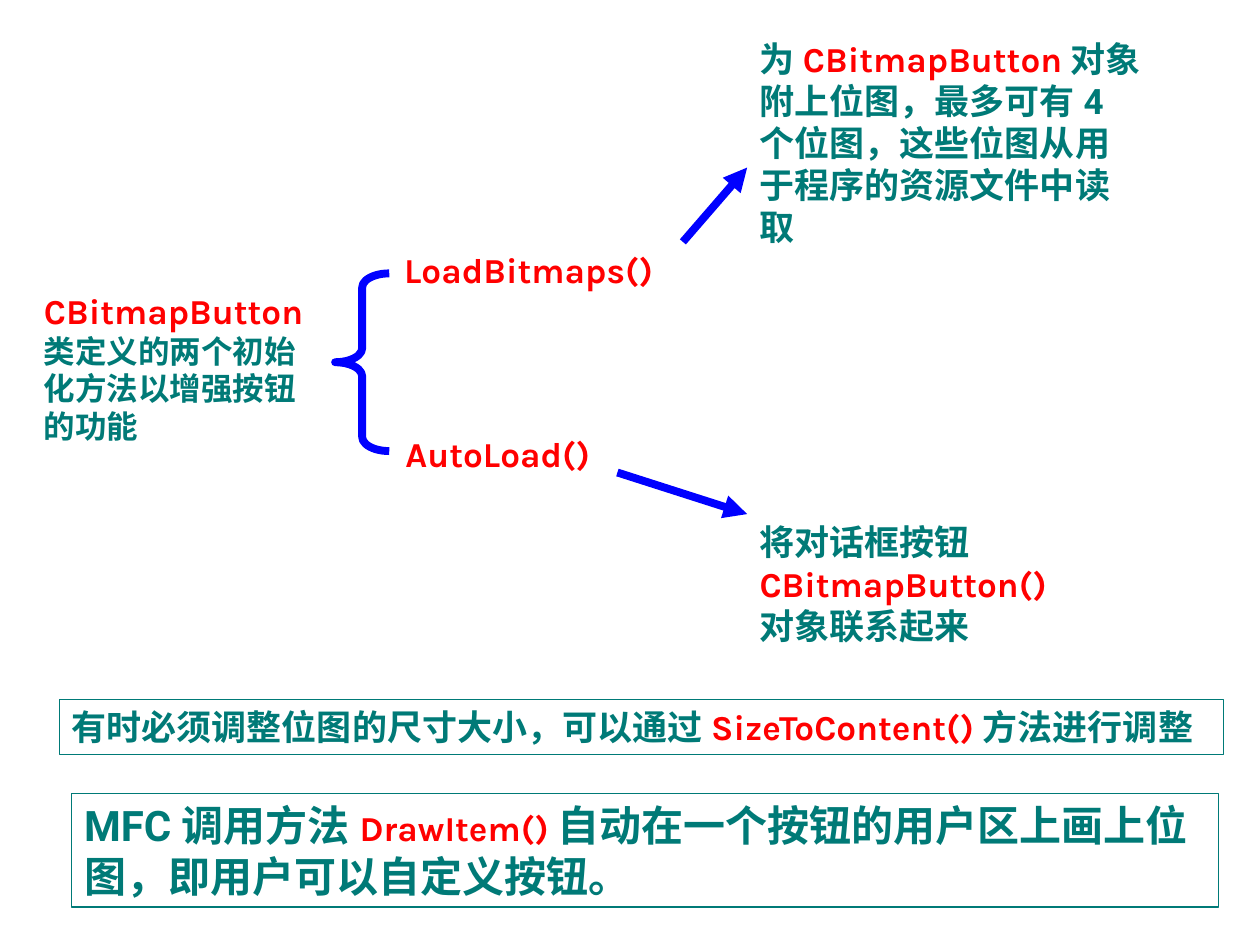
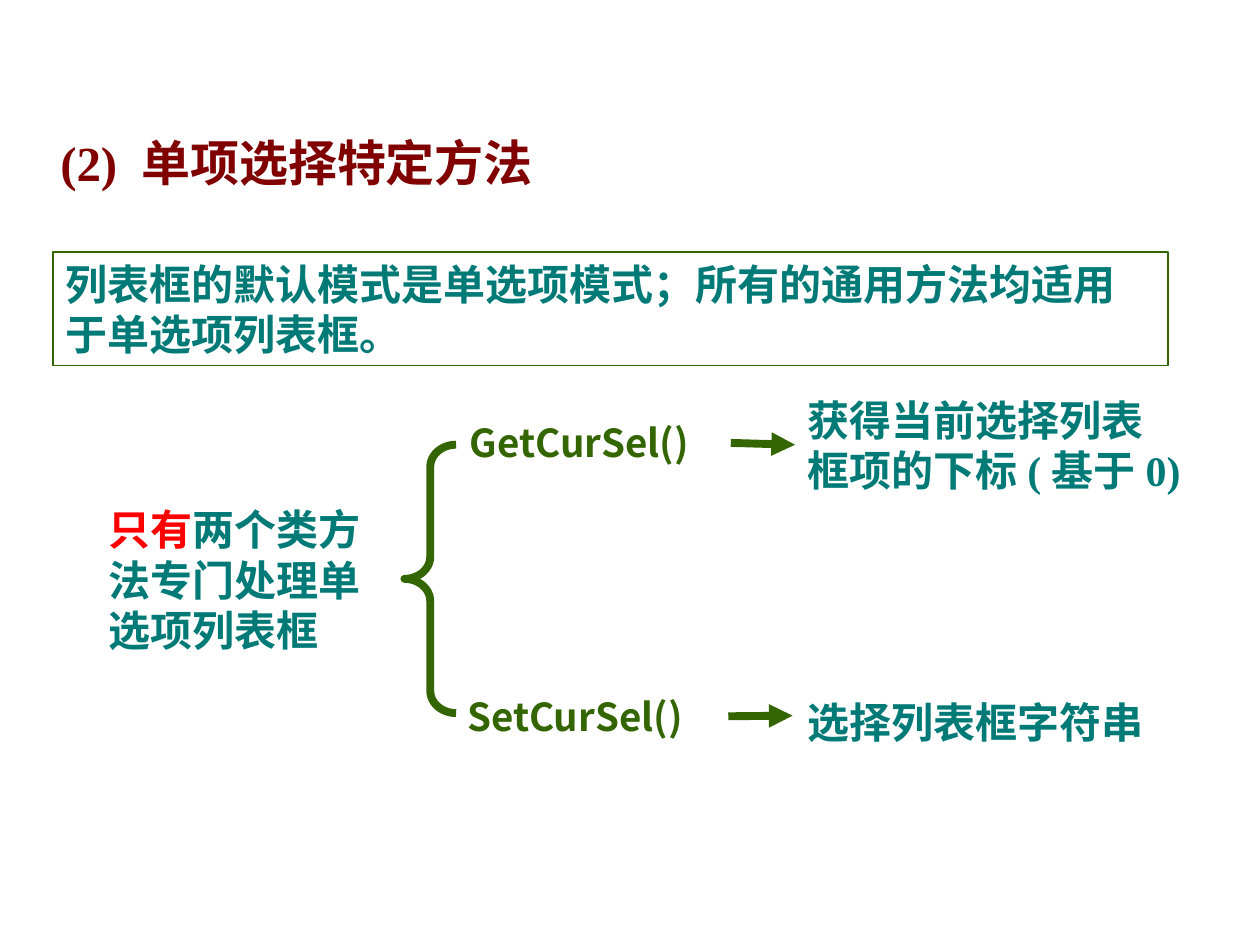
from lxml import etree
from pptx import Presentation
from pptx.dml.color import RGBColor
from pptx.enum.shapes import MSO_CONNECTOR, MSO_SHAPE
from pptx.enum.text import MSO_ANCHOR, MSO_AUTO_SIZE, PP_ALIGN
from pptx.oxml.ns import qn
from pptx.util import Inches, Pt

STRAIGHT = MSO_CONNECTOR.STRAIGHT
RECT, BRACE = MSO_SHAPE.RECTANGLE, MSO_SHAPE.LEFT_BRACE
TOP, LEFT, GROW = MSO_ANCHOR.TOP, PP_ALIGN.LEFT, MSO_AUTO_SIZE.SHAPE_TO_FIT_TEXT

TEAL, RED, BLUE, GREEN, MAROON = "007A77", "FF0000", "0000FF", "336600", "800000"
CJK = "Noto Sans CJK SC"
BODY = dict(font="Roboto", color=TEAL, size=20)
CODE = dict(font="Karla", color=RED, size=20)
SERIF = dict(font="Times New Roman", color=TEAL, size=24)
METHOD = dict(font=CJK, color=GREEN, size=22)

BUTTON = {
    "boxes": {
        "draw": ((0.57, 6.3, 9.1, 0.9), [
            ("MFC调用方法", BODY | {"size": 24}), ("DrawItem()", CODE),
            ("自动在一个按钮的用户区上画上位图，即用户可以自定义按钮。", BODY | {"size": 24})],
            {"line": TEAL}),
        "resize": ((0.47, 5.55, 9.24, 0.44), [
            ("有时必须调整位图的尺寸大小，可以通过", BODY),
            ("SizeToContent()", CODE), ("方法进行调整", BODY)],
            {"line": TEAL, "wrap": False}),
        "class": ((0.25, 2.25, 2.41, 1.34), [
            ("CBitmapButton", CODE),
            ("类定义的两个初始化方法以增强按钮的功能", BODY | {"size": 18})], {}),
        "load": ((3.11, 1.92, 2.23, 0.44), [("LoadBitmaps()", CODE)], {"wrap": False}),
        "auto": ((3.12, 3.38, 1.73, 0.44), [("AutoLoad()", CODE)], {"wrap": False}),
        "load result": ((5.93, 0.25, 3.23, 1.77), [
            ("为", BODY), ("CBitmapButton", CODE),
            ("对象附上位图，最多可有4个位图，这些位图从用于程序的资源文件中读取", BODY)], {}),
        "auto result": ((5.93, 4.08, 2.65, 1.1), [
            ("将对话框按钮", BODY), ("CBitmapButton()", CODE), ("对象联系起来", BODY)], {}),
    },
    "brace": ((2.66, 2.17, 0.43, 1.41), 0.26),
    "arrows": [((5.42, 1.92), (5.93, 1.33)), ((4.9, 3.75), (5.93, 4.08))],
    "accent": BLUE,
}

LIST_BOX = {
    "boxes": {
        "title": ((0.38, 1, 3.95, 0.57), [
            ("(2) 单项选择特定方法", SERIF | {"size": 28, "color": MAROON})], {"wrap": False}),
        "default": ((0.42, 2, 8.85, 0.9), [
            ("列表框的默认模式是单选项模式；所有的通用方法均适用于单选项列表框。", SERIF)],
            {"line": GREEN}),
        "class": ((0.76, 3.95, 2.4, 1.3), [
            ("只有", SERIF | {"color": RED}), ("两个类方法专门处理单选项列表框", SERIF)], {}),
        "get": ((3.63, 3.28, 2.17, 0.47), [("GetCurSel()", METHOD)], {}),
        "set": ((3.61, 5.45, 2.17, 0.47), [("SetCurSel()", METHOD)], {}),
        "get result": ((6.31, 3.08, 3.19, 0.9), [("获得当前选择列表框项的下标(基于0)", SERIF)], {}),
        "set result": ((6.31, 5.48, 3.1, 0.5), [("选择列表框字符串", SERIF)], {}),
    },
    "brace": ((3.21, 3.53, 0.41, 2.13), 0.43),
    "arrows": [("get", "get result"), ("set", (6.29, 5.68))],
    "accent": GREEN,
}


def rgb(value):
    return RGBColor.from_string(value)


def add_run(p, text, font, color, size):
    r = p.add_run()
    r.text = text
    r.font.name, r.font.size, r.font.bold = font, Pt(size), True
    r.font.color.rgb = rgb(color)
    latin = r.font._element.find(qn("a:latin"))
    ea = etree.Element(qn("a:ea"), typeface=CJK)
    latin.addnext(ea)


def add_box(s, area, runs, line=None, wrap=True):
    area = map(Inches, area)
    if line:
        sp = s.shapes.add_shape(RECT, *area)
        sp.shadow.inherit = False
        sp.fill.background()
        sp.line.color.rgb, sp.line.width = rgb(line), Pt(0.75)
    else:
        sp = s.shapes.add_textbox(*area)
    tf = sp.text_frame
    tf.word_wrap, tf.auto_size, tf.vertical_anchor = wrap, GROW, TOP
    p = tf.paragraphs[0]
    p.alignment = LEFT
    for text, style in runs:
        add_run(p, text, **style)
    return sp


def add_brace(s, area, curve, color):
    sp = s.shapes.add_shape(BRACE, *map(Inches, area))
    sp.shadow.inherit = False
    sp.adjustments[0] = curve
    sp.fill.background()
    sp.line.color.rgb, sp.line.width = rgb(color), Pt(4.5)


def add_arrow(s, start, end, boxes, color):
    points = [(0, 0) if isinstance(e, str) else e for e in (start, end)]
    c = s.shapes.add_connector(STRAIGHT, *(Inches(v) for pt in points for v in pt))
    if start in boxes:
        c.begin_connect(boxes[start], 3)
    if end in boxes:
        c.end_connect(boxes[end], 1)
    c.line.color.rgb, c.line.width = rgb(color), Pt(4.5)
    etree.SubElement(c.line._get_or_add_ln(), qn("a:tailEnd"), type="triangle")
    etree.SubElement(c._element.spPr, qn("a:effectLst"))


def add_diagram(prs, content):
    s = prs.slides.add_slide(prs.slide_layouts[6])
    boxes = {name: add_box(s, area, runs, **kw)
             for name, (area, runs, kw) in content["boxes"].items()}
    add_brace(s, *content["brace"], content["accent"])
    for start, end in content["arrows"]:
        add_arrow(s, start, end, boxes, content["accent"])


def main():
    prs = Presentation()
    prs.slide_width, prs.slide_height = Inches(10), Inches(7.5)
    for content in (BUTTON, LIST_BOX):
        add_diagram(prs, content)
    prs.save("out.pptx")


if __name__ == "__main__":
    main()
